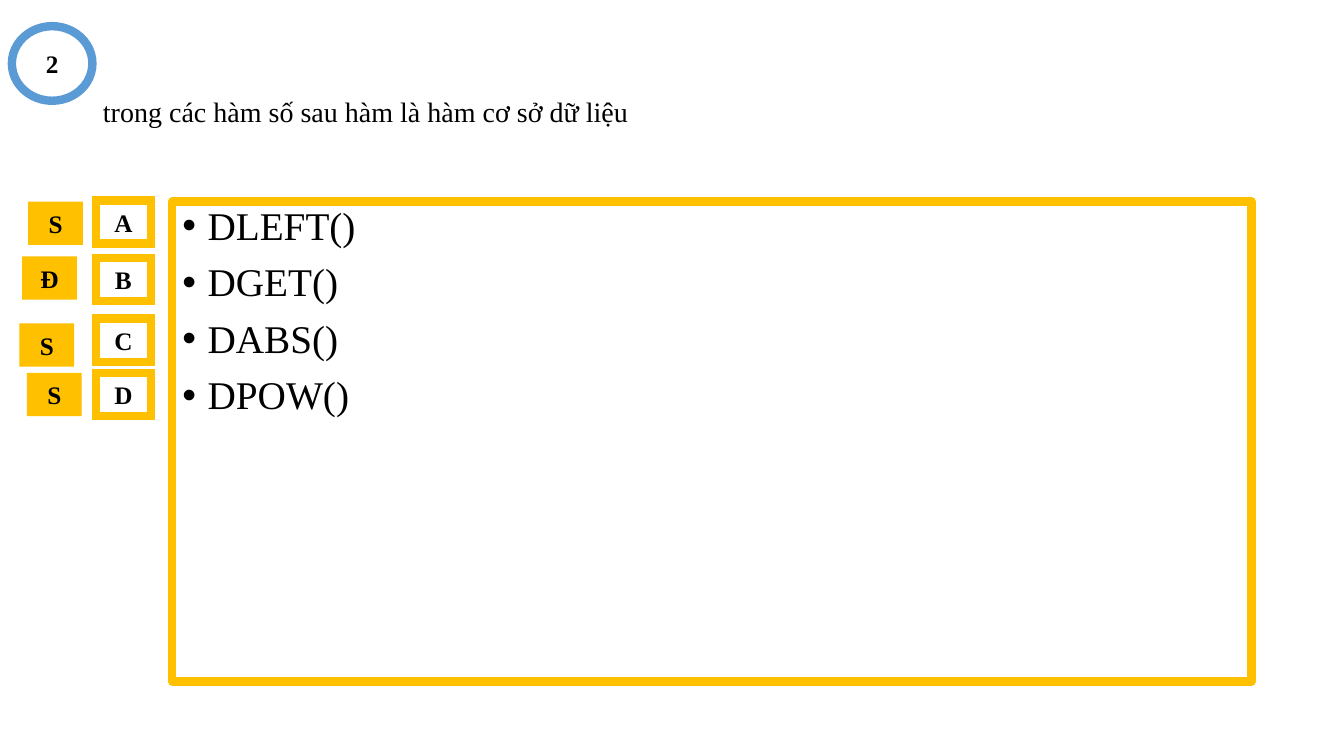
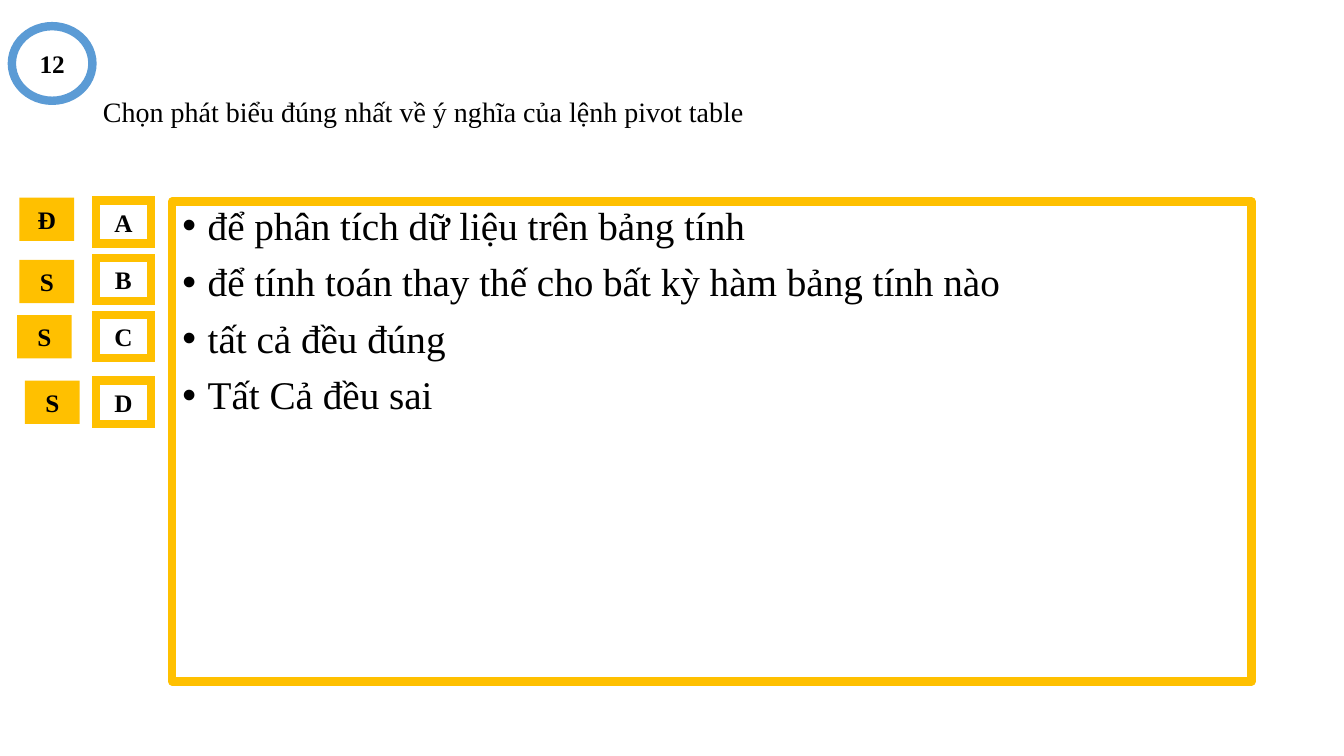
from lxml import etree
from pptx import Presentation, util as u
from pptx.dml.color import RGBColor
from pptx.enum import shapes, text
from pptx.oxml.ns import qn

WHITE, BLACK, GOLD, BLUE = "FFFFFF", "000000", "FFC000", "5B9BD5"
FONT = "Times New Roman"
BORDER = 6

TITLE_BOX = (2.34, 1.02, 29.21, 3.68)
ANSWER_BOX = (4.34, 5.08, 27.2, 12.09)
NUMBER_BOX = (0.3, 0.66, 2.03, 1.88)
KEY_LEFT = 2.42
KEY_SIZE = (1.38, 1.09)

TITLE_FORMAT = {"alignment": text.PP_ALIGN.LEFT, "line_spacing": 0.9}
ANSWER_FORMAT = {**TITLE_FORMAT, "space_before": u.Pt(10)}
BADGE_FORMAT = {"alignment": text.PP_ALIGN.CENTER}
TITLE_FONT = {"name": FONT, "size": u.Pt(20), "bold": False}
ANSWER_FONT = {"name": FONT, "size": u.Pt(28), "bold": False}
BADGE_FONT = {"name": FONT, "size": u.Pt(18), "bold": True}

QUESTIONS = [
    {
        "number": "2",
        "question": "trong các hàm số sau hàm là hàm cơ sở dữ liệu",
        "answers": [
            ("A", 5.05, "DLEFT()", "S", (0.71, 5.08)),
            ("B", 6.5, "DGET()", "Đ", (0.56, 6.46)),
            ("C", 8.03, "DABS()", "S", (0.49, 8.15)),
            ("D", 9.4, "DPOW()", "S", (0.68, 9.4)),
        ],
    },
    {
        "number": "12",
        "question": "Chọn phát biểu đúng nhất về ý nghĩa của lệnh pivot table",
        "answers": [
            ("A", 5.05, "để phân tích dữ liệu trên bảng tính", "Đ", (0.49, 4.98)),
            ("B", 6.5, "để tính toán thay thế cho bất kỳ hàm bảng tính nào", "S", (0.49, 6.55)),
            ("C", 7.94, "tất cả đều đúng", "S", (0.43, 7.94)),
            ("D", 9.59, "Tất Cả đều sai", "S", (0.63, 9.59)),
        ],
    },
]


def color(value):
    return RGBColor.from_string(value)


def assign(target, values):
    for name, value in values.items():
        setattr(target, name, value)


def place(shape, box):
    assign(shape, dict(zip(("left", "top", "width", "height"), map(u.Cm, box))))


def paint(shape, fill, opacity=100, line=None):
    shape.fill.solid()
    shape.fill.fore_color.rgb = color(fill)
    if opacity < 100:
        fill_color = shape.fill._xPr.find(qn("a:solidFill"))[0]
        etree.SubElement(fill_color, qn("a:alpha"), val=str(opacity * 1000))
    if line:
        shape.line.color.rgb = color(line)
        shape.line.width = u.Pt(BORDER)
    else:
        shape.line.fill.background()


def write(shape, lines, paragraph_format, font_format, anchor):
    frame = shape.text_frame
    assign(frame, {"word_wrap": True, "auto_size": text.MSO_AUTO_SIZE.NONE,
                   "vertical_anchor": anchor})
    frame.text = "\n".join(lines)
    for paragraph in frame.paragraphs:
        assign(paragraph, paragraph_format)
        for run in paragraph.runs:
            assign(run.font, font_format)
            run.font.color.rgb = color(BLACK)


def set_hanging_indent(shape, indent):
    for paragraph in shape.text_frame.paragraphs:
        properties = paragraph._p.get_or_add_pPr()
        properties.set("marL", str(u.Cm(indent)))
        properties.set("indent", str(-u.Cm(indent)))


def add_badge(slide, kind, box, label, fill, opacity=100, line=None):
    badge = slide.shapes.add_shape(kind, *map(u.Cm, box))
    badge.shadow.inherit = False
    paint(badge, fill, opacity, line)
    if line:
        etree.SubElement(badge.line._get_or_add_ln(), qn("a:miter"), lim="800000")
    write(badge, [label], BADGE_FORMAT, BADGE_FONT, text.MSO_ANCHOR.MIDDLE)


def add_question(presentation, content):
    slide = presentation.slides.add_slide(presentation.slide_layouts[1])
    title, body = slide.shapes.title, slide.placeholders[1]
    rectangle, oval = shapes.MSO_SHAPE.RECTANGLE, shapes.MSO_SHAPE.OVAL

    place(title, TITLE_BOX)
    paint(title, WHITE, 79)
    write(title, [content["question"]], TITLE_FORMAT, TITLE_FONT, text.MSO_ANCHOR.MIDDLE)

    place(body, ANSWER_BOX)
    paint(body, WHITE, 79, GOLD)
    answers = [answer for _, _, answer, _, _ in content["answers"]]
    write(body, answers, ANSWER_FORMAT, ANSWER_FONT, text.MSO_ANCHOR.TOP)
    set_hanging_indent(body, 0.64)

    add_badge(slide, oval, NUMBER_BOX, content["number"], WHITE, line=BLUE)
    for key, key_top, _, mark, mark_corner in content["answers"]:
        add_badge(slide, rectangle, (KEY_LEFT, key_top, *KEY_SIZE), key, WHITE, 85, GOLD)
        add_badge(slide, rectangle, (*mark_corner, *KEY_SIZE), mark, GOLD)


def main():
    presentation = Presentation()
    assign(presentation, {"slide_width": u.Cm(33.87), "slide_height": u.Cm(19.05)})
    for content in QUESTIONS:
        add_question(presentation, content)
    presentation.save("out.pptx")


if __name__ == "__main__":
    main()
